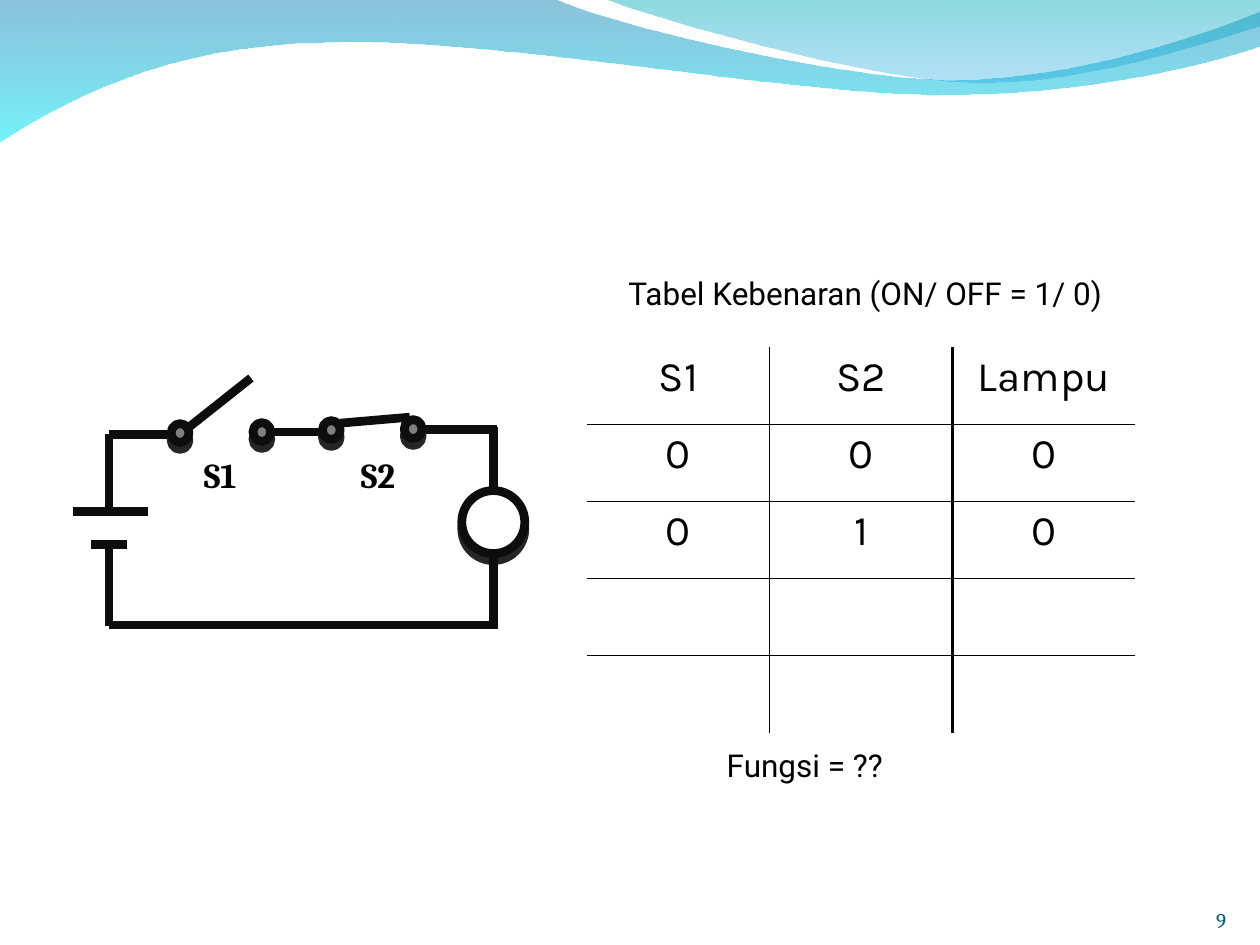
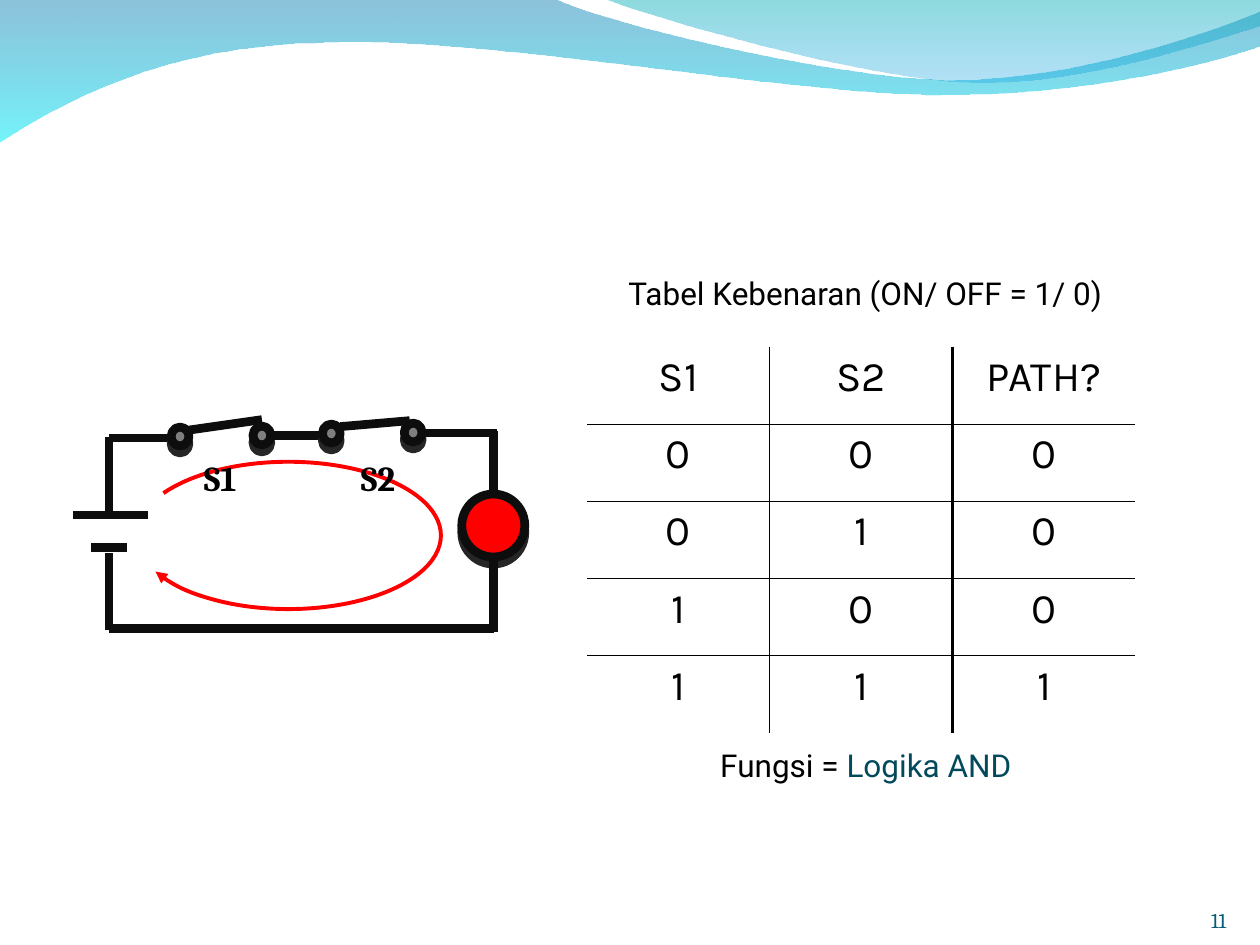
from lxml.etree import SubElement
from pptx import Presentation
from pptx.dml.color import RGBColor
from pptx.enum.shapes import MSO_CONNECTOR, MSO_SHAPE
from pptx.enum.text import MSO_ANCHOR, MSO_AUTO_SIZE, PP_ALIGN
from pptx.oxml.ns import qn
from pptx.util import Cm, Pt

COLORS = {
    "black": "000000", "wire": "0D0D0D", "shadow": "262626", "terminal": "7F7F7F",
    "white": "FFFFFF", "red": "FF0000", "number": "045C75", "answer": "03495C",
    "wave_top": "0079AF", "wave_bottom": "00EBF8",
    "crest_top": "00ADB6", "crest_bottom": "009BE5",
}
NO_STYLE = "{2D5ABB26-0587-4C30-8999-92F81FD0307C}"
WIRE_WIDTH = 5
THIN, THICK = 0.45, 1.5
SLIDE_2_DROP = 0.07

# Each segment is one end point (line) or two controls and an end point (curve).
WAVE = [
    [(0, -0.03)], [(11.18, -0.03)],
    [(12.09, 0.43), (16.87, 1.6), (19.25, 1.6)],
    [(21.67, 1.6), (24.33, 0.66), (25.4, 0.23)],
    [(25.43, 0.91)],
    [(24.97, 1.12), (22.1, 1.93), (18.95, 1.91)],
    [(15.8, 1.91), (9.7, 0.71), (6.53, 0.86)],
    [(3.28, 0.89), (1.17, 2.11), (-0.03, 2.87)],
]
CREST = [
    [(12.17, -0.03)],
    [(12.93, 0.28), (17.32, 1.57), (19.53, 1.65)],
    [(21.74, 1.75), (24.41, 0.81), (25.4, 0.53)],
    [(25.4, 0)],
]
WIRES = [
    (6.45, 8.71, 5.46, 8.71), (2.2, 8.76, 3.63, 8.76), (10.01, 8.66, 8.51, 8.66),
    (9.95, 9.88, 9.95, 8.61), (2.2, 10.31, 2.2, 8.74), (9.95, 12.6, 2.2, 12.6),
    (9.95, 12.67, 9.95, 11.15), (2.2, 12.62, 2.2, 11.07),
    (2.98, 10.31, 1.48, 10.31), (2.57, 10.97, 1.83, 10.97),
]
TERMINALS = [(5.1, 8.52), (3.45, 8.54), (8.15, 8.46), (6.5, 8.48)]
S1_OPEN = (3.81, 8.61, 5.06, 7.62)
S1_CLOSED = (3.81, 8.6, 5.28, 8.39)
S2_CLOSED = (6.86, 8.53, 8.26, 8.41)


def rgb(name):
    return RGBColor.from_string(COLORS[name])


class Deck:
    def __init__(self):
        self.prs = Presentation()
        self.prs.slide_width, self.prs.slide_height = Cm(25.4), Cm(19.05)
        self.shapes = None
        self.drop = 0

    def new_slide(self, number):
        s = self.prs.slides.add_slide(self.prs.slide_layouts[6])
        self.shapes, self.drop = s.shapes, 0
        if len(self.prs.slides) == 1:
            self.master_wave(WAVE, ("wave_top", 45), ("wave_bottom", 55))
            self.master_wave(CREST, ("crest_top", 45), ("crest_bottom", 30))
        self.text((23.04, 18.38, 1.68, 0.43), [(str(number), "number")], 12, "Cambria",
                  align=PP_ALIGN.RIGHT, anchor=MSO_ANCHOR.BOTTOM, inset=False)

    def start_group(self, drop):
        """Draw the following elements in a group, lowered by drop."""
        self.shapes = self.shapes.add_group_shape().shapes
        self.drop = drop

    def master_wave(self, segments, *stops):
        """Draw a curved gradient band and move it to the slide master."""
        points = [(Cm(x), Cm(y)) for segment in segments for x, y in segment]
        builder = self.shapes.build_freeform(*points[0], scale=1.0)
        builder.add_line_segments(points[1:], close=True)
        sp = builder.convert_to_shape()
        lines = list(sp._element.iter(qn("a:lnTo")))
        for segment in segments[1:]:
            first, *rest = lines[:len(segment)]
            lines = lines[len(segment):]
            if rest:
                first.tag = qn("a:cubicBezTo")
                for line in rest:
                    first.append(line[0])
                    line.getparent().remove(line)
        sp.shadow.inherit = False
        sp.line.fill.background()
        sp.fill.gradient()
        sp.fill.gradient_angle = 270
        for stop, (color, _) in zip(sp.fill.gradient_stops, stops):
            stop.color.rgb = rgb(color)
        for clr, (_, opacity) in zip(sp._element.spPr.iter(qn("a:srgbClr")), stops):
            SubElement(clr, qn("a:alpha"), val=str(opacity * 1000))
        self.prs.slide_master.shapes._spTree.append(sp._element)

    def text(self, box, parts, size, font, bold=False, align=PP_ALIGN.LEFT,
             anchor=MSO_ANCHOR.TOP, wrap=True, inset=True):
        x, y, w, h = box
        sp = self.shapes.add_textbox(Cm(x), Cm(y + self.drop), Cm(w), Cm(h))
        tf = sp.text_frame
        tf.word_wrap, tf.vertical_anchor = wrap, anchor
        if not wrap:
            tf.auto_size = MSO_AUTO_SIZE.SHAPE_TO_FIT_TEXT
        if not inset:
            tf.margin_left = tf.margin_right = tf.margin_top = tf.margin_bottom = 0
        p = tf.paragraphs[0]
        p.alignment = align
        for words, color in parts:
            r = p.add_run()
            r.text = words
            self.style(r, size, font, color, bold)

    def style(self, r, size, font, color="black", bold=False):
        r.font.size, r.font.name, r.font.bold = Pt(size), font, bold
        r.font.color.rgb = rgb(color)

    def wire(self, x1, y1, x2, y2):
        line = self.shapes.add_connector(MSO_CONNECTOR.STRAIGHT, Cm(x1), Cm(y1 + self.drop),
                                         Cm(x2), Cm(y2 + self.drop))
        line.line.color.rgb, line.line.width = rgb("wire"), Pt(WIRE_WIDTH)
        SubElement(line._element.spPr, qn("a:effectLst"))

    def disc(self, x, y, w, h, fill):
        """Add an outlined ellipse with a hard shadow below it."""
        sp = self.shapes.add_shape(MSO_SHAPE.OVAL, Cm(x), Cm(y + self.drop), Cm(w), Cm(h))
        sp.fill.solid()
        sp.fill.fore_color.rgb = rgb(fill)
        sp.line.color.rgb, sp.line.width = rgb("wire"), Pt(WIRE_WIDTH)
        sp.shadow.inherit = False
        effects = sp._element.spPr.find(qn("a:effectLst"))
        shadow = SubElement(effects, qn("a:outerShdw"), blurRad="0", dist=str(Pt(4)),
                            dir="5400000", algn="ctr", rotWithShape="0")
        SubElement(shadow, qn("a:srgbClr"), val=COLORS["shadow"])

    def current_arrow(self, x, y, w, h, start, end):
        """Add a clockwise arc, with angles in degrees, ending in an arrowhead."""
        sp = self.shapes.add_shape(MSO_SHAPE.ARC, Cm(x), Cm(y + self.drop), Cm(w), Cm(h))
        for i, angle in enumerate((start, end)):
            sp.adjustments[i] = angle * 0.6
        sp.shadow.inherit = False
        sp.fill.background()
        sp.line.color.rgb, sp.line.width = rgb("red"), Pt(2.25)
        SubElement(sp.line._get_or_add_ln(), qn("a:tailEnd"), type="triangle")

    def truth_table(self, rows):
        n_rows, n_cols = len(rows), len(rows[0])
        frame = self.shapes.add_table(n_rows, n_cols, Cm(11.83), Cm(6.99),
                                      Cm(11.06), Cm(7.78))
        table = frame.table
        table.first_row = table.horz_banding = False
        table._tbl.tblPr.find(qn("a:tableStyleId")).text = NO_STYLE
        for i, row in enumerate(rows):
            for j, value in enumerate(row):
                cell = table.cell(i, j)
                for side, inner, width in (
                        ("lnL", j > 0, THICK if j == n_cols - 1 else THIN),
                        ("lnR", j < n_cols - 1, THICK if j == n_cols - 2 else THIN),
                        ("lnT", i > 0, THIN), ("lnB", i < n_rows - 1, THIN)):
                    if inner:
                        self.border(cell, side, width)
                cell.fill.background()
                p = cell.text_frame.paragraphs[0]
                p.alignment = PP_ALIGN.CENTER
                if value:
                    p.text = value
                    self.style(p.runs[0], 24, "Karla")

    def border(self, cell, side, width):
        ln = SubElement(cell._tc.get_or_add_tcPr(), qn(f"a:{side}"), w=str(Pt(width)))
        fill = SubElement(ln, qn("a:solidFill"))
        SubElement(fill, qn("a:srgbClr"), val=COLORS["black"])

    def circuit(self, s1_lever, lamp, drop=0, current=False):
        self.start_group(drop)
        self.disc(9.31, 9.89, 1.27, 1.27, lamp)
        for ends in WIRES:
            self.wire(*ends)
        for x, y in TERMINALS:
            self.disc(x, y, 0.36, 0.38, "terminal")
        for lever in (s1_lever, S2_CLOSED):
            self.wire(*lever)
        if current:
            self.current_arrow(2.74, 9.24, 6.15, 2.97, 198.7, 164.8)
        for label, x in (("S1", 3.59), ("S2", 6.77)):
            self.text((x, 8.83, 1.7, 1.47), [(label, "black")], 20, "Cambria", bold=True,
                      align=PP_ALIGN.CENTER, anchor=MSO_ANCHOR.MIDDLE)

    def truth_slide(self, number, rows, function_box, function):
        self.new_slide(number)
        self.truth_table(rows)
        self.text((12.42, 5.4, 10.44, 1.02),
                  [("Tabel Kebenaran (ON/ OFF = 1/ 0)", "black")], 18, "Roboto", wrap=False)
        self.text(function_box, function, 18, "Roboto", wrap=False)


def main():
    deck = Deck()
    deck.truth_slide(9, [("S1", "S2", "Lampu"), "000", "010", ("",) * 3, ("",) * 3],
                     (14.4, 14.91, 3.71, 1.02), [("Fungsi = ??", "black")])
    deck.circuit(S1_OPEN, "white")

    deck.truth_slide(11, [("S1", "S2", "PATH?"), "000", "010", "100", "111"],
                     (14.27, 14.91, 6.65, 1.02),
                     [("Fungsi = ", "black"), ("Logika AND", "answer")])
    deck.circuit(S1_CLOSED, "red", SLIDE_2_DROP, current=True)
    deck.prs.save("out.pptx")


if __name__ == "__main__":
    main()
